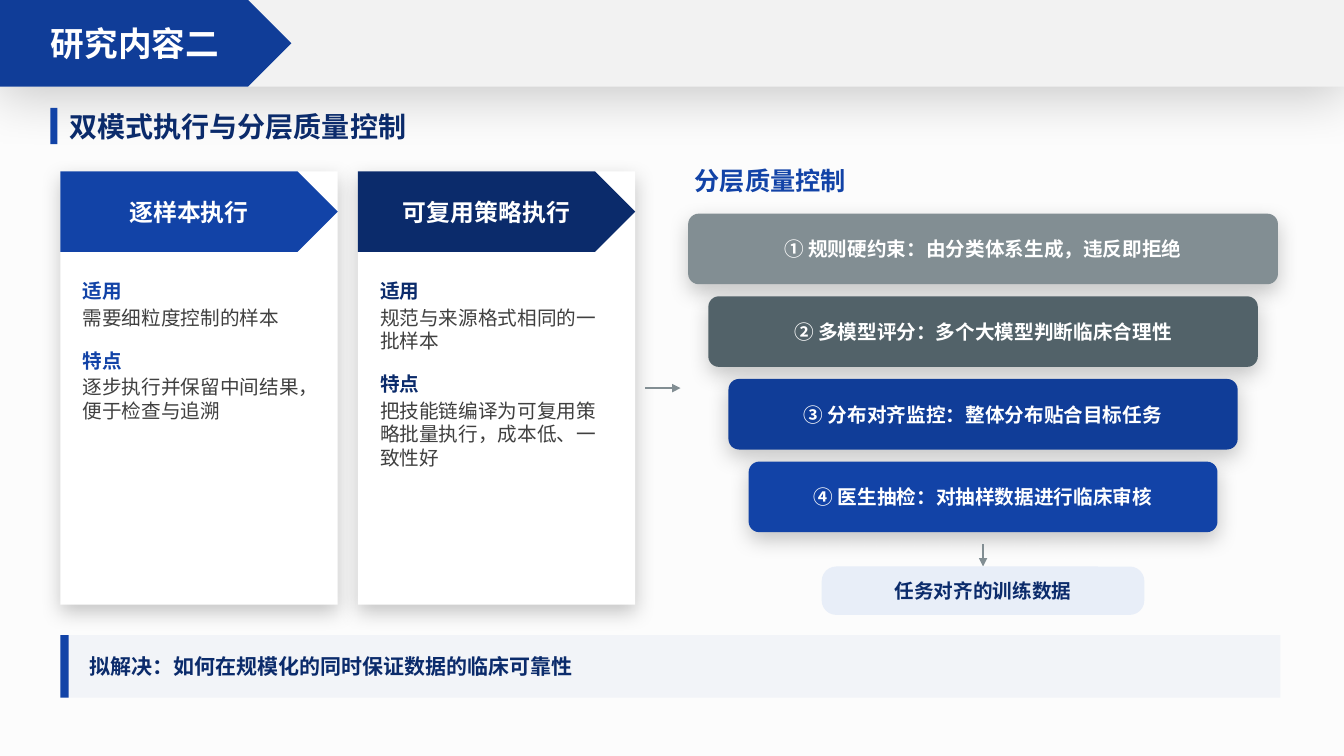
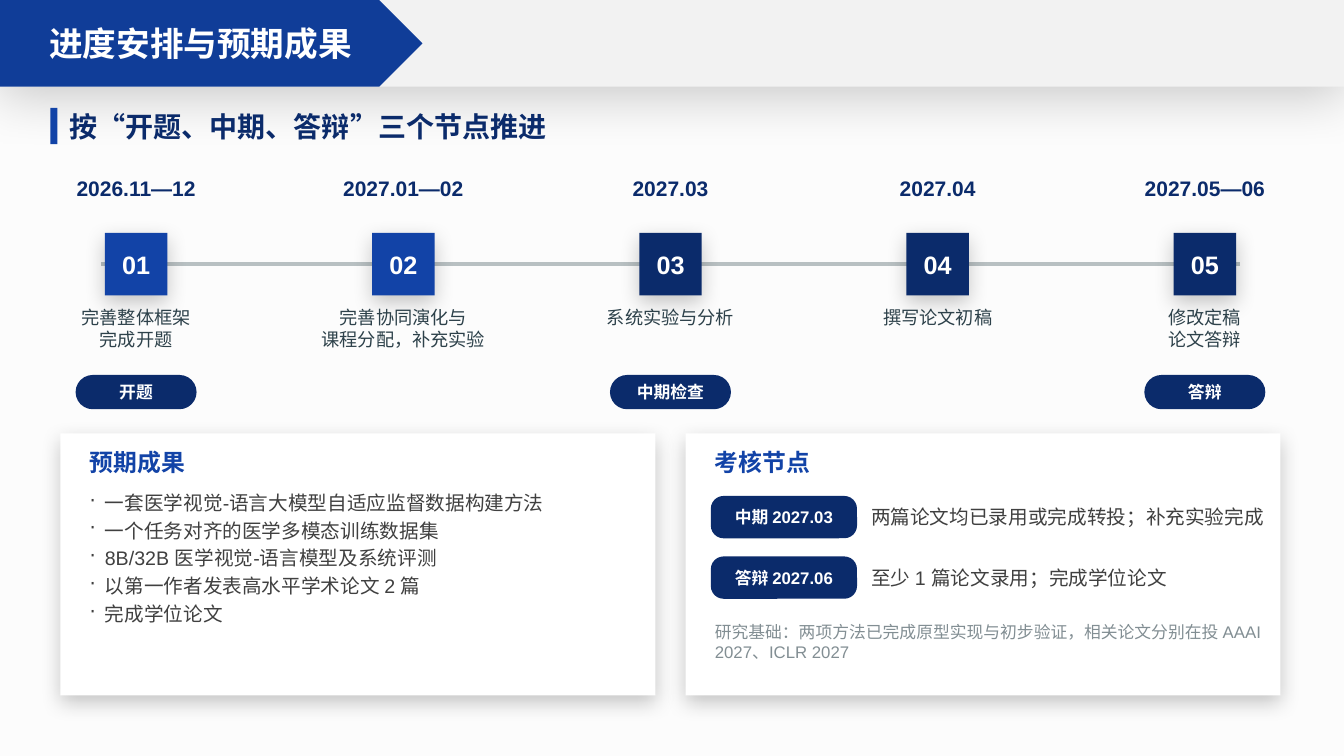
from lxml.etree import SubElement
from pptx import Presentation
from pptx.dml.color import RGBColor
from pptx.enum.shapes import MSO_CONNECTOR as Link, MSO_SHAPE as Shape
from pptx.enum.text import MSO_ANCHOR as Anchor, PP_ALIGN as Align
from pptx.oxml.ns import qn
from pptx.util import Inches, Pt

FONT = "Arial"
WIDTH, HEIGHT, BAND = 13.33, 7.5, 0.86
PAPER, WHITE, MIST, ICE, PALE = "FCFCFC", "FFFFFF", "F2F2F2", "F2F4F8", "E8EEF8"
BLUE, ROYAL, NAVY = "1243A7", "103D98", "0B2B6B"
GREY, STEEL, SLATE, SILVER, INK = "828E93", "526269", "2D414A", "B8C0C2", "404040"
SOFT = (22, 15, 5)
WIDE = (20, 38, 7)


def color(code):
    return RGBColor.from_string(code)


def add_dot(para, indent):
    """Give a paragraph a dot bullet with a hanging indent."""
    props = para._p.get_or_add_pPr()
    props.set("marL", str(Inches(indent)))
    props.set("indent", str(-Inches(indent)))
    SubElement(props, qn("a:buChar"), char="·")


def write(shape, text, size=14, ink=INK, bold=False, align=Align.LEFT,
          anchor=Anchor.TOP, pad=(0.04, 0.02), gap=0, dot=0):
    """Fill a shape with a string or a list of strings.

    A list item may also be (string, ink, bold, space before).
    """
    frame = shape.text_frame
    frame.word_wrap = True
    frame.vertical_anchor = anchor
    frame.margin_left = frame.margin_right = Inches(pad[0])
    frame.margin_top = frame.margin_bottom = Inches(pad[1])
    items = [text] if isinstance(text, str) else text
    for i, item in enumerate(items):
        if isinstance(item, str):
            item = (item, ink, bold, gap)
        words, tint, heavy, before = item
        para = frame.add_paragraph() if i else frame.paragraphs[0]
        para.alignment = align
        if i and before:
            para.space_before = Pt(before)
        if dot:
            add_dot(para, dot)
        run = para.add_run()
        run.text = words
        font = run.font
        font.name, font.size, font.bold = FONT, Pt(size), heavy
        font.color.rgb = color(tint)


def add_text(slide, x, y, w, h, text, **style):
    box = slide.shapes.add_textbox(Inches(x), Inches(y), Inches(w), Inches(h))
    write(box, text, **style)


def cast(shape, alpha, blur, drop):
    """Cast a black shadow straight down."""
    effects = shape._element.spPr.find(qn("a:effectLst"))
    outer = SubElement(effects, qn("a:outerShdw"), blurRad=str(Pt(blur)),
                       dist=str(Pt(drop)), dir="5400000", algn="t", rotWithShape="0")
    black = SubElement(outer, qn("a:srgbClr"), val="000000")
    SubElement(black, qn("a:alpha"), val=str(alpha * 1000))


def add_block(slide, x, y, w, h, fill, kind=Shape.RECTANGLE, curve=None,
              shade=None, text=None, size=14, ink=WHITE, pad=(0.08, 0.03)):
    """Add a filled shape, with centred bold text if any is given."""
    block = slide.shapes.add_shape(kind, Inches(x), Inches(y), Inches(w), Inches(h))
    block.shadow.inherit = False
    block.fill.solid()
    block.fill.fore_color.rgb = color(fill)
    block.line.fill.background()
    if curve is not None:
        block.adjustments[0] = curve
    if shade:
        cast(block, *shade)
    if text:
        write(block, text, size=size, ink=ink, bold=True, pad=pad,
              align=Align.CENTER, anchor=Anchor.MIDDLE)
    return block


def add_pill(slide, x, y, w, h, text, curve):
    add_block(slide, x, y, w, h, NAVY, Shape.ROUNDED_RECTANGLE, curve,
              text=text, size=12, pad=(0, 0.03))


def add_line(slide, x1, y1, x2, y2, tint=GREY, width=2, arrow=True):
    line = slide.shapes.add_connector(
        Link.STRAIGHT, Inches(x1), Inches(y1), Inches(x2), Inches(y2))
    line.line.color.rgb = color(tint)
    line.line.width = Pt(width)
    if arrow:
        SubElement(line.line._get_or_add_ln(), qn("a:tailEnd"), type="triangle")
    SubElement(line._element.spPr, qn("a:effectLst"))
    return line


def add_page(deck, title, lead):
    """Add a slide with the top band, title arrow and lead line."""
    slide = deck.slides.add_slide(deck.slide_layouts[6])
    add_block(slide, 0, 0, WIDTH, BAND, MIST, shade=WIDE)
    add_block(slide, 0, 0, 1.265 + 0.325 * len(title), BAND, ROYAL, Shape.PENTAGON,
              text=title, size=24, pad=(0.1, 0.05))
    add_block(slide, 0.5, 1.07, 0.07, 0.36, BLUE)
    add_text(slide, 0.65, 1, 12.1, 0.5, lead, size=20, ink=NAVY, bold=True,
             anchor=Anchor.MIDDLE)
    return slide


def add_mode(slide, x, name, tint, use, trait):
    """Add a card for one way of execution."""
    top, width = 1.7, 2.75
    add_block(slide, x, top, width, 4.3, WHITE, shade=SOFT)
    add_block(slide, x, top, width, 0.8, tint, Shape.PENTAGON, text=name, size=17)
    add_text(slide, x + 0.18, 2.75, 2.4, 3.1, [
        ("适用", tint, True, 0), (use, INK, False, 2),
        ("特点", tint, True, 14), (trait, INK, False, 2)])


def add_funnel(slide):
    mid = 9.75
    add_text(slide, 6.85, 1.62, 5.8, 0.4, "分层质量控制", size=18, ink=BLUE, bold=True)
    layers = [
        ("① 规则硬约束：由分类体系生成，违反即拒绝", GREY),
        ("② 多模型评分：多个大模型判断临床合理性", STEEL),
        ("③ 分布对齐监控：整体分布贴合目标任务", ROYAL),
        ("④ 医生抽检：对抽样数据进行临床审核", BLUE),
    ]
    for i, (text, tint) in enumerate(layers):
        width = 5.85 - 0.4 * i
        add_block(slide, mid - width / 2, 2.12 + 0.82 * i, width, 0.7, tint,
                  Shape.ROUNDED_RECTANGLE, 0.15, SOFT, text)
    arrow = add_line(slide, mid, 5.4, mid, 5.62)
    result = add_block(slide, mid - 1.6, 5.62, 3.2, 0.48, PALE,
                       Shape.ROUNDED_RECTANGLE, 0.3, text="任务对齐的训练数据", ink=NAVY)
    arrow.end_connect(result, 0)


def add_goal(slide, text):
    top, height = 6.3, 0.62
    add_block(slide, 0.6, top, 12.1, height, ICE)
    add_block(slide, 0.6, top, 0.08, height, BLUE)
    add_text(slide, 0.85, top, 11.8, height, text, size=15, ink=NAVY, bold=True,
             anchor=Anchor.MIDDLE)


def add_stages(slide):
    """Add the timeline."""
    axis, side = 2.62, 0.62
    stages = [
        ("2026.11—12", ["完善整体框架", "完成开题"], "开题", BLUE),
        ("2027.01—02", ["完善协同演化与", "课程分配，补充实验"], None, BLUE),
        ("2027.03", "系统实验与分析", "中期检查", NAVY),
        ("2027.04", "撰写论文初稿", None, NAVY),
        ("2027.05—06", ["修改定稿", "论文答辩"], "答辩", NAVY),
    ]
    add_line(slide, 1, axis, 12.3, axis, SILVER, 3, arrow=False)
    for i, (date, work, mark, tint) in enumerate(stages):
        mid = 1.35 + 2.65 * i
        add_block(slide, mid - side / 2, axis - side / 2, side, side, tint, shade=SOFT,
                  text=f"{i + 1:02}", size=18, pad=(0, 0.03))
        add_text(slide, mid - 1.2, 1.72, 2.4, 0.4, date, size=15, ink=NAVY, bold=True,
                 align=Align.CENTER)
        add_text(slide, mid - 1.25, 3.02, 2.5, 0.7, work, size=13, ink=SLATE,
                 align=Align.CENTER)
        if mark:
            add_pill(slide, mid - 0.6, 3.72, 1.2, 0.34, mark, 0.5)


def add_panel(slide, x, head):
    add_block(slide, x, 4.3, 5.9, 2.6, WHITE, shade=SOFT)
    add_text(slide, x + 0.25, 4.42, 5.5, 0.4, head, size=17, ink=BLUE, bold=True)


def add_checks(slide):
    checks = [
        ("中期 2027.03", "两篇论文均已录用或完成转投；补充实验完成"),
        ("答辩 2027.06", "至少 1 篇论文录用；完成学位论文"),
    ]
    for i, (mark, text) in enumerate(checks):
        top = 4.9 + 0.6 * i
        add_pill(slide, 7.05, top + 0.02, 1.45, 0.42, mark, 0.3)
        add_text(slide, 8.6, top, 4, 0.46, text, anchor=Anchor.MIDDLE)
    add_text(slide, 7.05, 6.15, 5.5, 0.65,
             "研究基础：两项方法已完成原型实现与初步验证，相关论文分别在投 AAAI 2027、ICLR 2027",
             size=12, ink=GREY)


def build_method(deck):
    slide = add_page(deck, "研究内容二", "双模式执行与分层质量控制")
    add_mode(slide, 0.6, "逐样本执行", BLUE, "需要细粒度控制的样本",
             "逐步执行并保留中间结果，便于检查与追溯")
    add_mode(slide, 3.55, "可复用策略执行", NAVY, "规范与来源格式相同的一批样本",
             "把技能链编译为可复用策略批量执行，成本低、一致性好")
    add_line(slide, 6.4, 3.85, 6.75, 3.85)
    add_funnel(slide)
    add_goal(slide, "拟解决：如何在规模化的同时保证数据的临床可靠性")


def build_plan(deck):
    slide = add_page(deck, "进度安排与预期成果", "按“开题、中期、答辩”三个节点推进")
    add_stages(slide)
    add_panel(slide, 0.6, "预期成果")
    add_text(slide, 0.85, 4.85, 5.5, 2, [
        "一套医学视觉-语言大模型自适应监督数据构建方法",
        "一个任务对齐的医学多模态训练数据集",
        "8B/32B 医学视觉-语言模型及系统评测",
        "以第一作者发表高水平学术论文 2 篇",
        "完成学位论文",
    ], gap=3, dot=0.15)
    add_panel(slide, 6.8, "考核节点")
    add_checks(slide)


def main():
    deck = Presentation()
    deck.slide_width, deck.slide_height = Inches(WIDTH), Inches(HEIGHT)
    back = deck.slide_master.background.fill
    back.solid()
    back.fore_color.rgb = color(PAPER)
    build_method(deck)
    build_plan(deck)
    deck.save("out.pptx")


if __name__ == "__main__":
    main()
